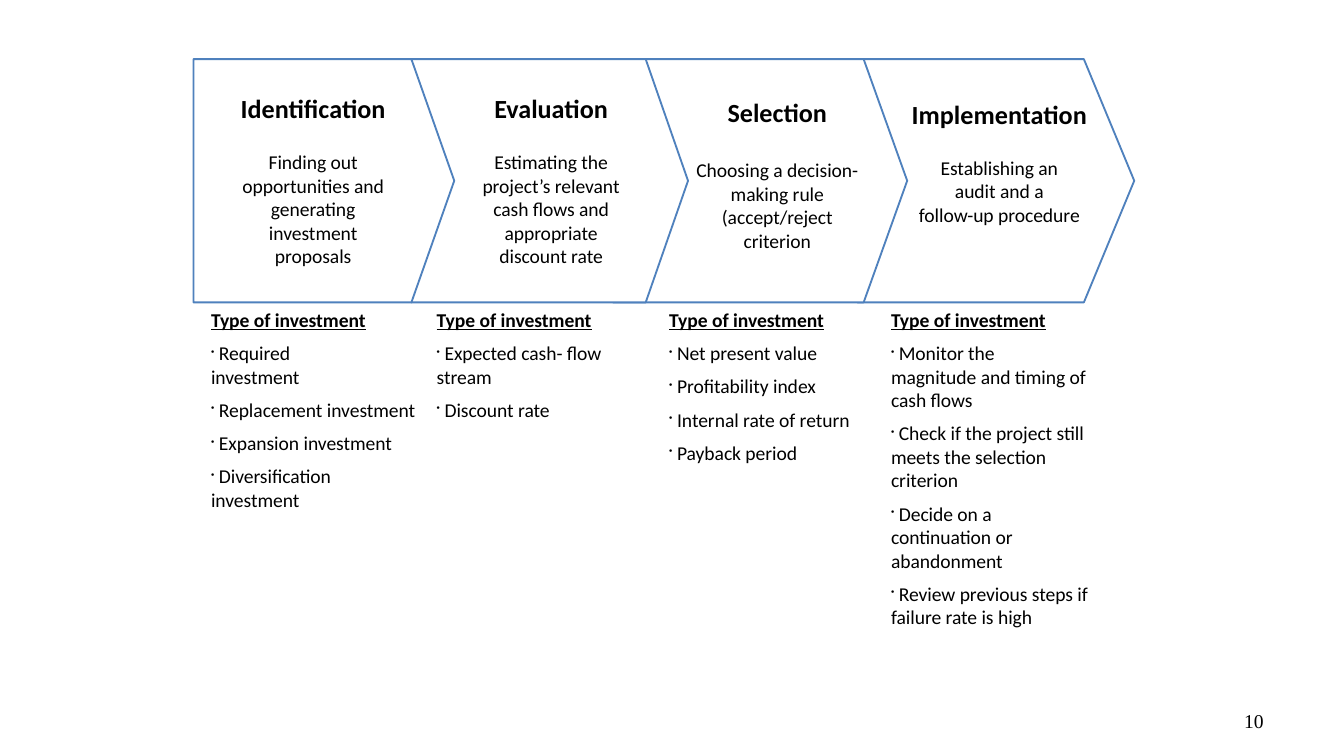
from pptx import Presentation
from pptx.dml.color import RGBColor
from pptx.enum import shapes, text
from pptx.oxml import parse_xml
from pptx.oxml.ns import nsdecls
from pptx.util import Inches, Pt

# left, width, point depth, left inset, top inset, gap under name, name, description
STAGES = [
    (1.44, 1.94, 0.176, 0.07, 0.25, 14, "Identification",
     "Finding out\vopportunities and\vgenerating\vinvestment\vproposals"),
    (3.06, 2.06, 0.174, 0.25, 0.25, 14, "Evaluation",
     "Estimating the\vproject’s relevant\vcash flows and\vappropriate\vdiscount rate"),
    (4.56, 2.19, 0.179, 0.49, 0.28, 16, "Selection",
     "Choosing a decision-\vmaking rule\v(accept/reject\vcriterion"),
    (6.38, 2.06, 0.207, 0.31, 0.29, 14, "Implementation",
     "Establishing an\vaudit and a\vfollow-up procedure"),
]

# left, width, height, items
DETAILS = [
    (1.5, 1.69, 2.11, ["Required\vinvestment", "Replacement investment",
                       "Expansion investment", "Diversification investment"]),
    (3.18, 1.53, 1.22, ["Expected cash- flow stream", "Discount rate"]),
    (4.91, 1.63, 1.31, ["Net present value", "Profitability index",
                        "Internal rate of return", "Payback period"]),
    (6.56, 1.67, 2.55, ["Monitor the\vmagnitude and timing of cash flows",
                        "Check if the project still meets the selection criterion",
                        "Decide on a\vcontinuation or\vabandonment",
                        "Review previous steps if failure rate is high"]),
]


def color(value):
    return RGBColor.from_string(value)


class ProcessSlide:
    FONT, NUMBER_FONT = "Calibri", "Times New Roman"
    INK, PAPER, OUTLINE = "000000", "FFFFFF", "4F81BD"
    BODY, HEADING = 10.5, 14
    STAGE_TOP, STAGE_HEIGHT = 0.44, 1.81

    def __init__(self, slide):
        self.slide = slide

    def frame(self, shape, left=0.07, top=0.04):
        """Set the insets and wrapping of a shape's text and return its frame."""
        frame = shape.text_frame
        frame.word_wrap = True
        frame.vertical_anchor = text.MSO_ANCHOR.TOP
        frame.margin_left, frame.margin_right = Inches(left), Inches(0.07)
        frame.margin_top, frame.margin_bottom = Inches(top), Inches(0.04)
        return frame

    def style(self, paragraph, size=BODY, bold=False, align=text.PP_ALIGN.LEFT, font=FONT):
        paragraph.alignment = align
        paragraph.font.name = font
        paragraph.font.size = Pt(size)
        paragraph.font.bold = bold
        paragraph.font.color.rgb = color(self.INK)

    def stage(self, left, width, depth, inset, top, gap, name, description):
        arrow = self.slide.shapes.add_shape(
            shapes.MSO_SHAPE.PENTAGON, Inches(left), Inches(self.STAGE_TOP),
            Inches(width), Inches(self.STAGE_HEIGHT))
        arrow.adjustments[0] = depth
        arrow.shadow.inherit = False
        arrow.fill.solid()
        arrow.fill.fore_color.rgb = color(self.PAPER)
        arrow.line.color.rgb = color(self.OUTLINE)
        arrow.line.width = Pt(1)
        frame = self.frame(arrow, inset, top)
        heading = frame.paragraphs[0]
        heading.text = name
        self.style(heading, self.HEADING, True, text.PP_ALIGN.CENTER)
        body = frame.add_paragraph()
        body.text = description
        body.space_before = Pt(gap)
        self.style(body, align=text.PP_ALIGN.CENTER)

    def details(self, left, width, height, items):
        box = self.slide.shapes.add_textbox(
            Inches(left), Inches(self.STAGE_TOP + self.STAGE_HEIGHT),
            Inches(width), Inches(height))
        frame = self.frame(box)
        heading = frame.paragraphs[0]
        heading.text = "Type of investment"
        self.style(heading, bold=True)
        heading.font.underline = True
        for item in items:
            entry = frame.add_paragraph()
            entry.text = " " + item
            entry.space_before = Pt(5.25)
            self.bullet(entry)
            self.style(entry)

    def bullet(self, paragraph):
        properties = paragraph._p.get_or_add_pPr()
        properties.append(parse_xml(f'<a:buSzPct {nsdecls("a")} val="50000"/>'))
        properties.append(parse_xml(f'<a:buChar {nsdecls("a")} char="•"/>'))

    def page_number(self, number):
        box = self.slide.shapes.add_textbox(Inches(7.17), Inches(5.21), Inches(2.33), Inches(0.3))
        frame = self.frame(box, left=0.1)
        frame.margin_right = Inches(0.1)
        frame.vertical_anchor = text.MSO_ANCHOR.MIDDLE
        frame.text = str(number)
        self.style(frame.paragraphs[0], align=text.PP_ALIGN.RIGHT, font=self.NUMBER_FONT)


def main():
    deck = Presentation()
    deck.slide_width = Inches(10)
    deck.slide_height = deck.slide_width * 9 // 16
    process = ProcessSlide(deck.slides.add_slide(deck.slide_layouts[6]))
    process.page_number(10)
    for stage in reversed(STAGES):  # each earlier arrow overlaps the next
        process.stage(*stage)
    for column in DETAILS:
        process.details(*column)
    deck.save("out.pptx")


if __name__ == "__main__":
    main()
